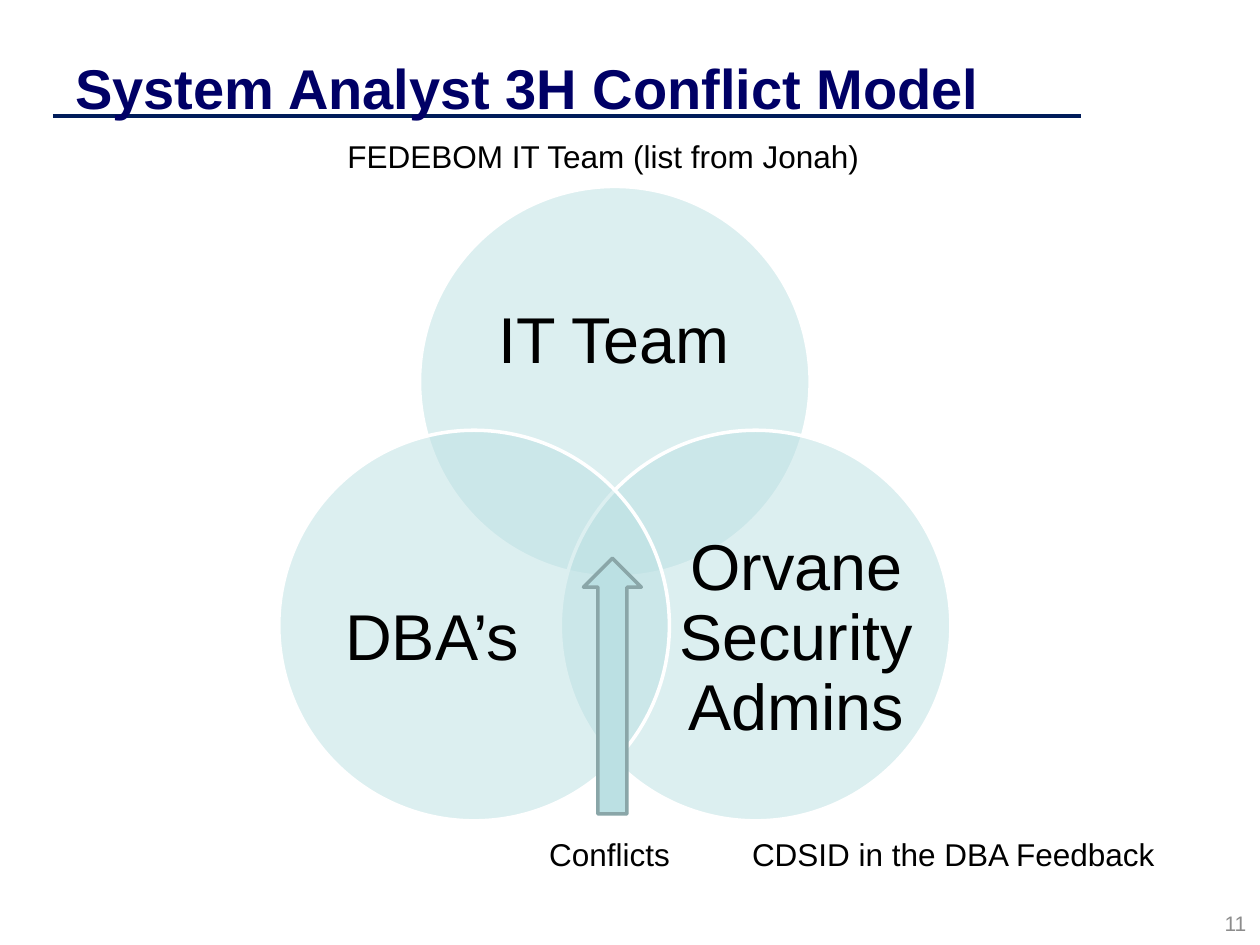
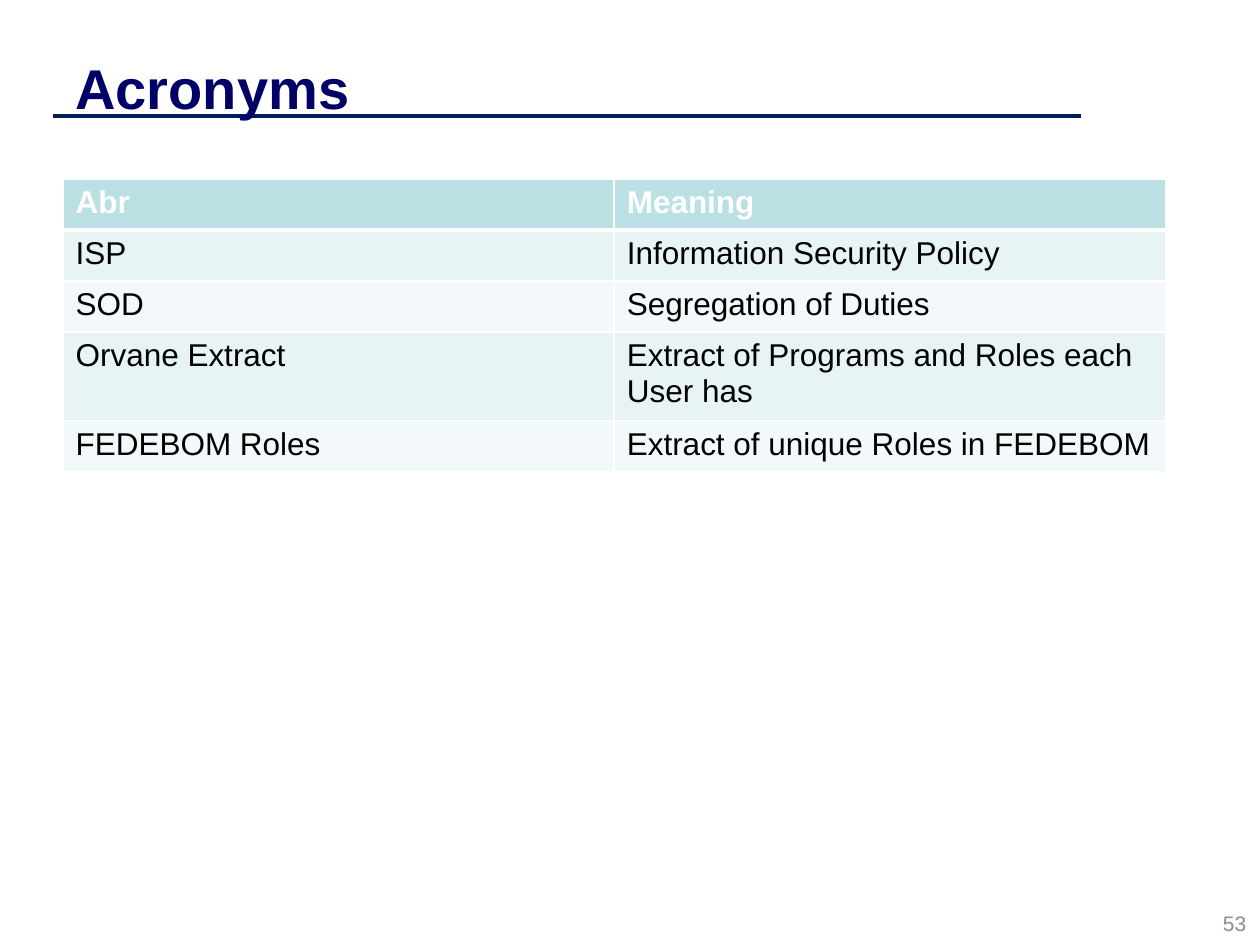
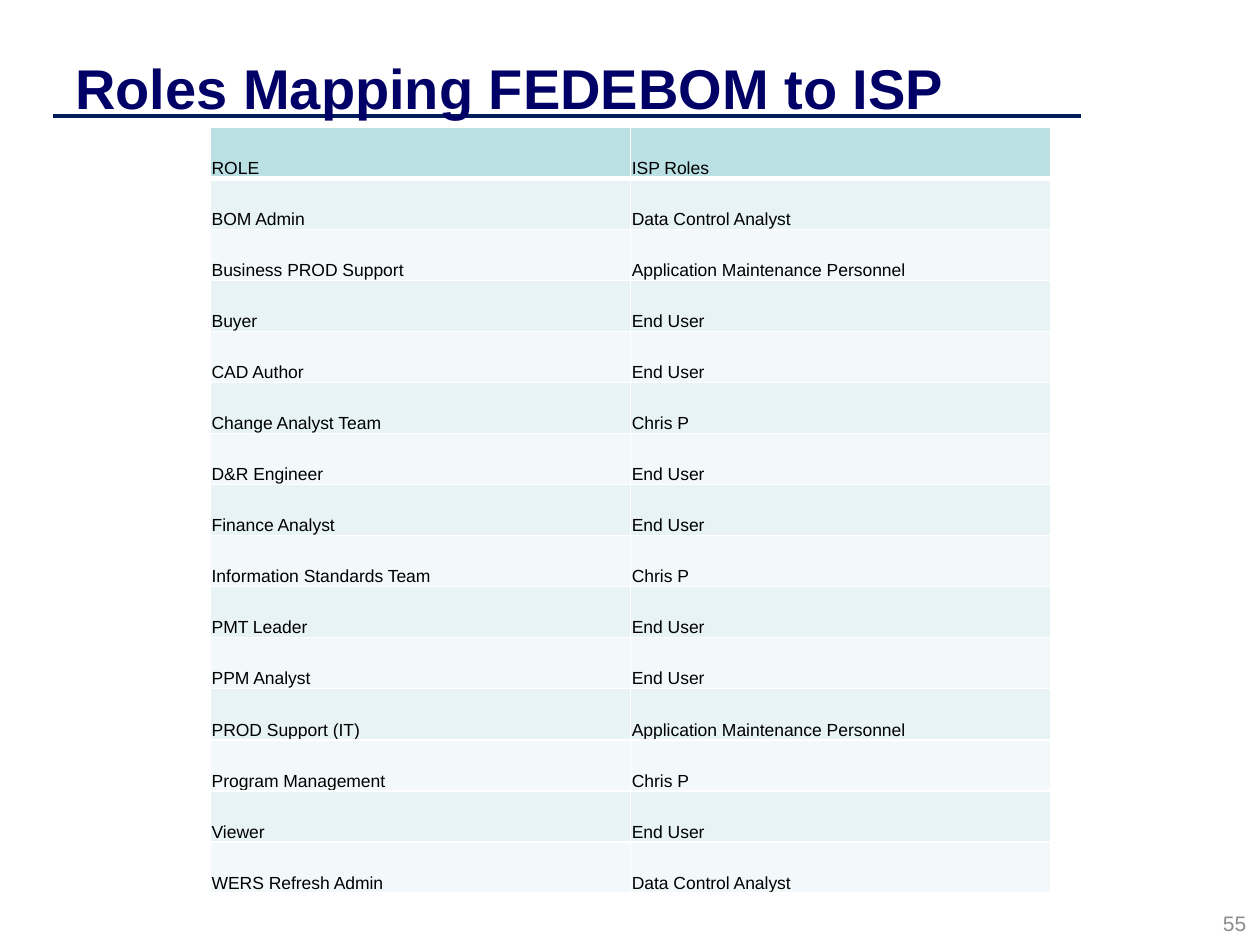
from dataclasses import dataclass
from math import cos, radians, sin

from lxml import etree
from pptx import Presentation
from pptx.dml.color import RGBColor
from pptx.enum.shapes import MSO_CONNECTOR, MSO_SHAPE
from pptx.enum.text import MSO_ANCHOR, PP_ALIGN
from pptx.oxml.ns import qn
from pptx.util import Inches, Pt

LEFT, CENTER, RIGHT = PP_ALIGN.LEFT, PP_ALIGN.CENTER, PP_ALIGN.RIGHT
TOP, MIDDLE, BOTTOM = MSO_ANCHOR.TOP, MSO_ANCHOR.MIDDLE, MSO_ANCHOR.BOTTOM
ELLIPSE, DOWN_ARROW = MSO_SHAPE.OVAL, MSO_SHAPE.DOWN_ARROW
STRAIGHT = MSO_CONNECTOR.STRAIGHT

FONT = "Arial"
BLACK = RGBColor(0x00, 0x00, 0x00)
WHITE = RGBColor(0xFF, 0xFF, 0xFF)
NAVY = RGBColor(0x00, 0x00, 0x66)
RULE_BLUE = RGBColor(0x00, 0x1C, 0x5A)
AQUA = RGBColor(0xBB, 0xE0, 0xE3)
AQUA_EDGE = RGBColor(0x8A, 0xA6, 0xA8)
BAND_DARK = RGBColor(0xE7, 0xF3, 0xF4)
BAND_LIGHT = RGBColor(0xF3, 0xF9, 0xFA)
GREY = RGBColor(0x8C, 0x8C, 0x8C)

ROW_HEIGHT = Inches(6.08) // 15


@dataclass(frozen=True)
class Box:
    left: float
    top: float
    width: float
    height: float

    def emu(self) -> tuple:
        return tuple(map(Inches, (self.left, self.top, self.width, self.height)))


@dataclass(frozen=True)
class TextStyle:
    size: float
    color: RGBColor = BLACK
    bold: bool = False
    align: PP_ALIGN = LEFT
    anchor: MSO_ANCHOR = TOP
    line_spacing: float | None = None
    margins: tuple = (0.1, 0.05, 0.1, 0.05)


@dataclass(frozen=True)
class VennCircle:
    label: str
    angle: float
    label_box: Box


@dataclass(frozen=True)
class TableLook:
    header: TextStyle
    body: TextStyle


TITLE = TextStyle(32, NAVY, bold=True, anchor=MIDDLE)
PAGE_NUMBER = TextStyle(12, GREY, align=RIGHT, anchor=MIDDLE)
CAPTION = TextStyle(18)
VENN_LABEL = TextStyle(37, align=CENTER, anchor=MIDDLE, line_spacing=0.9, margins=(0, 0, 0, 0))
ROLE_CELL = TextStyle(10, anchor=BOTTOM, margins=(0.01, 0.01, 0.01, 0))

ACRONYM_LOOK = TableLook(TextStyle(18, WHITE, bold=True), TextStyle(18))
ROLE_LOOK = TableLook(ROLE_CELL, ROLE_CELL)

# Venn geometry: three circles evenly spaced around one centre
VENN_X, VENN_Y, VENN_RADIUS, CIRCLE_SIZE = 4.88, 4.32, 1.29, 3.1
CIRCLES = [
    VennCircle("IT Team", -90, Box(3.74, 2.02, 2.27, 1.4)),
    VennCircle("Orvane Security Admins", 30, Box(5.39, 4.22, 1.86, 1.71)),
    VennCircle("DBA’s", 150, Box(2.5, 4.22, 1.86, 1.71)),
]
CAPTIONS = [
    ("Conflicts", Box(4.26, 6.58, 1.18, 0.4)),
    ("CDSID in the DBA Feedback", Box(5.87, 6.58, 3.59, 0.4)),
    ("FEDEBOM IT Team (list from Jonah)", Box(2.66, 1.04, 4.37, 0.4)),
]

ACRONYMS = [
    ("Abr", "Meaning"),
    ("ISP", "Information Security Policy"),
    ("SOD", "Segregation of Duties"),
    ("Orvane Extract", "Extract of Programs and Roles each User has"),
    ("FEDEBOM Roles", "Extract of unique Roles in FEDEBOM"),
]
ROLES = [
    ("ROLE", "ISP Roles"),
    ("BOM Admin", "Data Control Analyst"),
    ("Business PROD Support", "Application Maintenance Personnel"),
    ("Buyer", "End User"),
    ("CAD Author", "End User"),
    ("Change Analyst Team", "Chris P"),
    ("D&R Engineer", "End User"),
    ("Finance Analyst", "End User"),
    ("Information Standards Team", "Chris P"),
    ("PMT Leader", "End User"),
    ("PPM Analyst", "End User"),
    ("PROD Support (IT)", "Application Maintenance Personnel"),
    ("Program Management", "Chris P"),
    ("Viewer", "End User"),
    ("WERS Refresh Admin", "Data Control Analyst"),
]


def style_paragraph(p, style: TextStyle) -> None:
    p.alignment = style.align
    if style.line_spacing:
        p.line_spacing = style.line_spacing
    p.font.name = FONT
    p.font.size = Pt(style.size)
    p.font.bold = style.bold
    p.font.color.rgb = style.color


def set_margins(target, style: TextStyle) -> None:
    """Apply the insets to a text frame or a table cell."""
    (target.margin_left, target.margin_top,
     target.margin_right, target.margin_bottom) = map(Inches, style.margins)
    target.vertical_anchor = style.anchor


def add_text(s, text: str, box: Box, style: TextStyle) -> None:
    tf = s.shapes.add_textbox(*box.emu()).text_frame
    tf.word_wrap = True
    set_margins(tf, style)
    p = tf.paragraphs[0]
    p.text = text
    style_paragraph(p, style)


def add_filled_shape(s, kind: MSO_SHAPE, box: Box, edge: RGBColor):
    sp = s.shapes.add_shape(kind, *box.emu())
    sp.shadow.inherit = False
    sp.fill.solid()
    sp.fill.fore_color.rgb = AQUA
    sp.line.color.rgb = edge
    sp.line.width = Pt(2)
    return sp


def set_opacity(sp, percent: int) -> None:
    color = sp._element.spPr.find(qn("a:solidFill"))[0]
    etree.SubElement(color, qn("a:alpha"), val=str(percent * 1000))


def set_border(cell, side: str, width: float) -> None:
    ln = etree.SubElement(cell._tc.get_or_add_tcPr(), qn(f"a:ln{side}"), w=str(Pt(width)))
    fill = etree.SubElement(ln, qn("a:solidFill"))
    etree.SubElement(fill, qn("a:srgbClr"), val=str(WHITE))


def add_banded_table(s, rows: list, left: float, top: float, width: float,
                     look: TableLook) -> None:
    frame = s.shapes.add_table(len(rows), len(rows[0]), Inches(left), Inches(top),
                               Inches(width), ROW_HEIGHT * len(rows))
    table = frame.table
    table.first_row = table.horz_banding = False
    for i, row in enumerate(rows):
        table.rows[i].height = ROW_HEIGHT
        style = look.body if i else look.header
        fill = (BAND_DARK if i % 2 else BAND_LIGHT) if i else AQUA
        for j, text in enumerate(row):
            cell = table.cell(i, j)
            set_margins(cell, style)
            # The rule under the header is thicker than the others
            for side, thick in (("L", False), ("R", False), ("T", i == 1), ("B", i == 0)):
                set_border(cell, side, 3 if thick else 1)
            cell.fill.solid()
            cell.fill.fore_color.rgb = fill
            p = cell.text_frame.paragraphs[0]
            p.text = text
            style_paragraph(p, style)


def add_base_slide(prs, title: str, number: int):
    """Add a slide with the shared rule, title and page number."""
    s = prs.slides.add_slide(prs.slide_layouts[6])
    rule = s.shapes.add_connector(STRAIGHT, Inches(0.42), Inches(0.92),
                                  Inches(8.58), Inches(0.92))
    rule.line.color.rgb = RULE_BLUE
    rule.line.width = Pt(2)
    etree.SubElement(rule._element.spPr, qn("a:effectLst"))
    add_text(s, title, Box(0.5, 0.3, 8, 0.78), TITLE)
    add_text(s, str(number), Box(7.66, 7.16, 2.33, 0.34), PAGE_NUMBER)
    return s


def add_conflict_slide(prs) -> None:
    s = add_base_slide(prs, "System Analyst 3H Conflict Model", 11)
    # Overlapping circles
    for circle in CIRCLES:
        angle = radians(circle.angle)
        left = VENN_X + VENN_RADIUS * cos(angle) - CIRCLE_SIZE / 2
        top = VENN_Y + VENN_RADIUS * sin(angle) - CIRCLE_SIZE / 2
        sp = add_filled_shape(s, ELLIPSE, Box(left, top, CIRCLE_SIZE, CIRCLE_SIZE), WHITE)
        set_opacity(sp, 50)
        add_text(s, circle.label, circle.label_box, VENN_LABEL)
    # Arrow pointing up to the shared area
    arrow = add_filled_shape(s, DOWN_ARROW, Box(4.63, 4.43, 0.46, 2.03), AQUA_EDGE)
    arrow.rotation = 180
    for text, box in CAPTIONS:
        add_text(s, text, box, CAPTION)


def main() -> None:
    prs = Presentation()
    prs.slide_width, prs.slide_height = Inches(10), Inches(7.5)
    add_conflict_slide(prs)
    s = add_base_slide(prs, "Acronyms", 53)
    add_banded_table(s, ACRONYMS, 0.5, 1.42, 8.75, ACRONYM_LOOK)
    s = add_base_slide(prs, "Roles Mapping FEDEBOM to ISP", 55)
    add_banded_table(s, ROLES, 1.67, 1.01, 6.67, ROLE_LOOK)
    prs.save("out.pptx")


if __name__ == "__main__":
    main()
